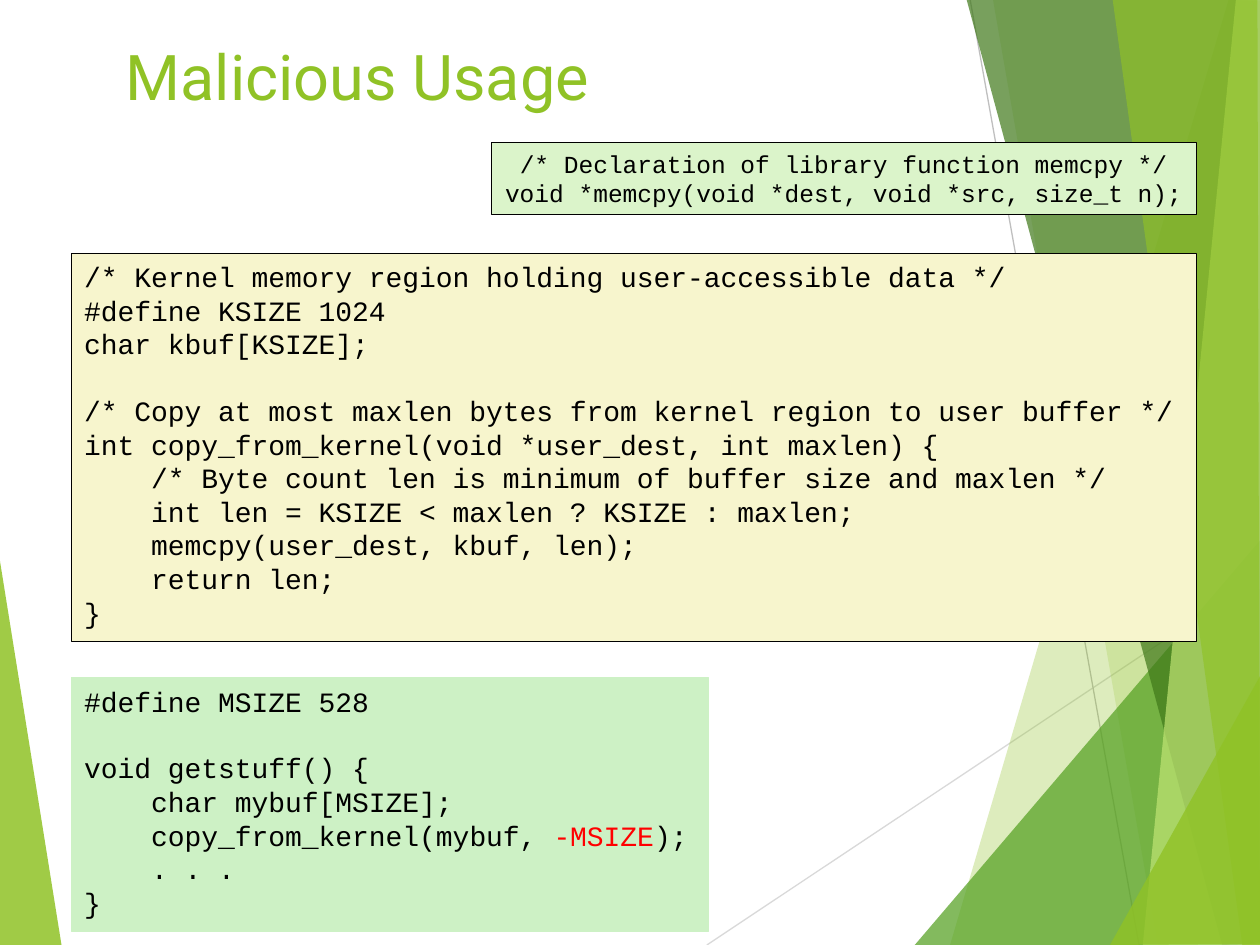
from typing import NamedTuple

from lxml import etree
from pptx import Presentation
from pptx import util as u
from pptx.dml.color import RGBColor
from pptx.enum import shapes, text
from pptx.oxml.ns import qn

GREEN = "90C226"
BLACK = "000000"
RED = "FF0000"
LINE_HEIGHT = 1.19


class Facet(NamedTuple):
    points: list[tuple[float, float]]
    color: str
    opacity: int


class Ray(NamedTuple):
    start: tuple[float, float]
    end: tuple[float, float]
    color: str


class CodeBox(NamedTuple):
    left: float
    top: float
    width: float
    height: float
    fill: str
    line: str
    code: str
    size: int = 16
    align: text.PP_ALIGN = text.PP_ALIGN.LEFT
    highlight: str = ""


LEFT_FACET = Facet([(-0.01, 4.39), (0.49, 7.51), (-0.01, 7.5)], GREEN, 85)
RAYS = [
    Ray((5.61, 7.5), (10.01, 4.57), "D9D9D9"),
    Ray((7.7, 0), (9.04, 7.5), "BFBFBF"),
]
RIGHT_FACETS = [
    Facet([(9.75, 0), (7.54, 7.5), (10.02, 7.51), (10.01, 0.01)], GREEN, 30),
    Facet([(7.88, -0.01), (9.19, 7.5), (10.01, 7.5), (10.01, -0.01)], GREEN, 20),
    Facet([(7.26, 7.5), (10, 4.29), (10.01, 7.5)], "54A021", 72),
    Facet([(7.67, -0.01), (9.7, 7.5), (10.01, 7.49), (10.01, -0.01)], "3F7819", 70),
    Facet([(9.81, -0.01), (9.07, 7.5), (10.01, 7.5), (10, -0.01)], "C0E474", 70),
    Facet([(8.83, -0.01), (9.86, 7.5), (10, 7.5), (9.98, -0.01)], GREEN, 65),
    Facet([(8.81, 7.5), (10.01, 5.35), (10.01, 7.49)], GREEN, 80),
]

KERNEL_CODE = """\
/* Kernel memory region holding user-accessible data */
#define KSIZE 1024
char kbuf[KSIZE];

/* Copy at most maxlen bytes from kernel region to user buffer */
int copy_from_kernel(void *user_dest, int maxlen) {
    /* Byte count len is minimum of buffer size and maxlen */
    int len = KSIZE < maxlen ? KSIZE : maxlen;
    memcpy(user_dest, kbuf, len);
    return len;
}"""

ATTACK_CODE = """\
#define MSIZE 528

void getstuff() {
    char mybuf[MSIZE];
    copy_from_kernel(mybuf, -MSIZE);
    . . .
}"""

DECLARATION_CODE = """\
/* Declaration of library function memcpy */
void *memcpy(void *dest, void *src, size_t n);"""

CODE_BOXES = [
    CodeBox(0.57, 2.01, 8.93, 3.08, "F7F5CD", BLACK, KERNEL_CODE),
    CodeBox(0.57, 5.38, 5.05, 2.01, "CDF1C5", "CDF1C5", ATTACK_CODE, highlight="-MSIZE"),
    CodeBox(3.9, 1.13, 5.6, 0.57, "DBF4CA", BLACK, DECLARATION_CODE,
            size=14, align=text.PP_ALIGN.CENTER),
]


def paint(color_format, color: str) -> None:
    color_format.rgb = RGBColor.from_string(color)


def fill_shape(shape, color: str) -> None:
    shape.shadow.inherit = False
    shape.fill.solid()
    paint(shape.fill.fore_color, color)


def draw_facet(slide, facet: Facet) -> None:
    points = [(u.Inches(x), u.Inches(y)) for x, y in facet.points]
    builder = slide.shapes.build_freeform(*points[0])
    builder.add_line_segments(points[1:], close=True)
    shape = builder.convert_to_shape()
    fill_shape(shape, facet.color)
    shape.line.fill.background()
    color = shape.fill._xPr.find(qn("a:solidFill"))[0]
    etree.SubElement(color, qn("a:alpha"), val=str(facet.opacity * 1000))


def draw_ray(slide, ray: Ray) -> None:
    ends = [u.Inches(value) for value in ray.start + ray.end]
    connector = slide.shapes.add_connector(shapes.MSO_CONNECTOR.STRAIGHT, *ends)
    connector.line.width = u.Pt(0.75)
    paint(connector.line.color, ray.color)
    etree.SubElement(connector._element.spPr, qn("a:effectLst"))


def write(shape, content: str, *, font: str, size: int, color: str,
          align: text.PP_ALIGN = text.PP_ALIGN.LEFT, highlight: str = "") -> None:
    """Write one paragraph per line; an empty line becomes space before the next."""
    frame = shape.text_frame
    frame.word_wrap = True
    frame.vertical_anchor = text.MSO_ANCHOR.TOP
    paragraph, gap = frame.paragraphs[0], 0.0
    for index, line in enumerate(content.split("\n")):
        if not line:
            gap += size * LINE_HEIGHT
            continue
        if index:
            paragraph = frame.add_paragraph()
        paragraph.alignment = align
        if gap:
            paragraph.space_before = u.Pt(gap)
            gap = 0.0
        before, marked, after = line.partition(highlight) if highlight else (line, "", "")
        for part, part_color in ((before, color), (marked, RED), (after, color)):
            if part:
                run = paragraph.add_run()
                run.text = part
                run.font.name = font
                run.font.size = u.Pt(size)
                paint(run.font.color, part_color)


def draw_code_box(slide, box: CodeBox) -> None:
    bounds = [u.Inches(value) for value in (box.left, box.top, box.width, box.height)]
    shape = slide.shapes.add_shape(shapes.MSO_SHAPE.RECTANGLE, *bounds)
    fill_shape(shape, box.fill)
    shape.line.width = u.Pt(0.5)
    paint(shape.line.color, box.line)
    write(shape, box.code, font="Courier New", size=box.size, color=BLACK,
          align=box.align, highlight=box.highlight)


def main() -> None:
    presentation = Presentation()
    presentation.slide_width = u.Inches(10)
    presentation.slide_height = u.Inches(7.5)
    slide = presentation.slides.add_slide(presentation.slide_layouts[6])

    draw_facet(slide, LEFT_FACET)
    for ray in RAYS:
        draw_ray(slide, ray)
    for facet in RIGHT_FACETS:
        draw_facet(slide, facet)

    title = slide.shapes.add_textbox(u.Inches(0.9), u.Inches(0.25), u.Inches(8.5), u.Inches(1.25))
    write(title, "Malicious Usage", font="Roboto", size=36, color=GREEN)
    for box in CODE_BOXES:
        draw_code_box(slide, box)

    presentation.save("out.pptx")


if __name__ == "__main__":
    main()
